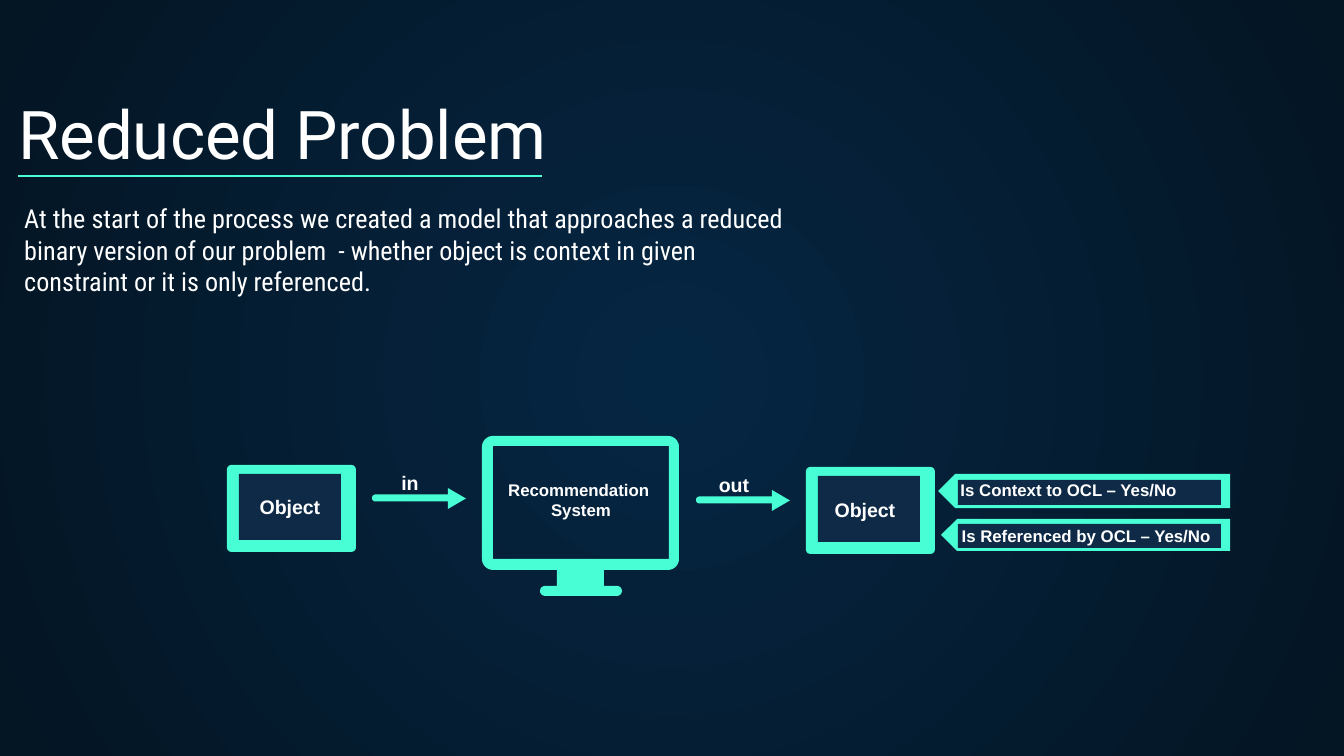
from math import cos, radians, sin

from lxml import etree
from pptx import Presentation
from pptx.dml.color import RGBColor
from pptx.enum.shapes import MSO_CONNECTOR, MSO_SHAPE
from pptx.enum.text import MSO_ANCHOR, PP_ALIGN
from pptx.oxml.ns import qn
from pptx.util import Emu, Pt

PX = 914400 / 134.4
WHITE = RGBColor(0xFF, 0xFF, 0xFF)
MINT = RGBColor(0x48, 0xFF, 0xD5)
NAVY = RGBColor(0x0E, 0x2A, 0x47)
BG_CENTER = RGBColor(0x05, 0x26, 0x43)
BG_EDGE = RGBColor(0x04, 0x15, 0x23)
RECT, ROUNDED, PLATE = MSO_SHAPE.RECTANGLE, MSO_SHAPE.ROUNDED_RECTANGLE, MSO_SHAPE.PENTAGON
LEFT, CENTER = PP_ALIGN.LEFT, PP_ALIGN.CENTER
TOP, BOTTOM = MSO_ANCHOR.TOP, MSO_ANCHOR.BOTTOM

# Content: boxes are (left, top, width, height) in px
TITLE = ("Reduced Problem", (5, 97, 578, 89))
BODY = ("At the start of the process we created a model that approaches a reduced "
        "binary version of our problem  - whether object is context in given "
        "constraint or it is only referenced.", (11, 196, 796, 140))
RULE = (18, 176, 542, 176)
OBJECTS = [  # frame corner, label corner
    ("Object", (227, 465), (227, 488)),
    ("Object", (806, 467), (802, 491)),
]
ARROWS = [  # arrow corner, label corner
    ("in", (372, 488), (347, 464)),
    ("out", (696, 490), (671, 466)),
]
SYSTEM = ("Recommendation \vSystem", (491, 473, 180, 54))
TAGS = [  # plate, inner pane, label
    ("Is Context to OCL – Yes/No", (938, 474, 292, 34), (958, 480, 263, 25), (926, 473, 285, 34)),
    ("Is Referenced by OCL – Yes/No", (941, 519, 289, 32), (958, 524, 263, 24), (938, 519, 296, 34)),
]


def px(n):
    return Emu(round(n * PX))


def add_text(text, box, size, font="Arial", bold=True, align=CENTER, anchor=TOP):
    tf = s.shapes.add_textbox(*map(px, box)).text_frame
    tf.word_wrap = True
    tf.vertical_anchor = anchor
    p = tf.paragraphs[0]
    p.text = text
    p.alignment = align
    for r in p.runs:
        r.font.size, r.font.name, r.font.bold = Pt(size), font, bold
        r.font.color.rgb = WHITE
    return tf


def paint(sp, color):
    sp.shadow.inherit = False
    sp.fill.solid()
    sp.fill.fore_color.rgb = color
    sp.line.fill.background()


def add_block(kind, box, color):
    sp = s.shapes.add_shape(kind, *map(px, box))
    paint(sp, color)
    return sp


def arc(cx, cy, radius, start, end):
    angles = [radians(start + (end - start) * i / 8) for i in range(9)]
    return [(cx + radius * cos(a), cy + radius * sin(a)) for a in angles]


def add_outline(*contours):
    scaled = [[(px(x), px(y)) for x, y in c] for c in contours]
    builder = s.shapes.build_freeform(*scaled[0][0])
    builder.add_line_segments(scaled[0][1:])
    for contour in scaled[1:]:
        builder.move_to(*contour[0])
        builder.add_line_segments(contour[1:])
    paint(builder.convert_to_shape(), MINT)


prs = Presentation()
prs.slide_width, prs.slide_height = px(1344), px(756)
s = prs.slides.add_slide(prs.slide_layouts[6])

# Radial background
fill = s.background.fill
fill.gradient()
for stop, color, position in zip(fill.gradient_stops, (BG_CENTER, BG_EDGE), (0, 1)):
    stop.color.rgb, stop.position = color, position
lin = next(s.background._cSld.iter(qn("a:lin")))
radial = etree.Element(qn("a:path"), {"path": "circle"})
etree.SubElement(radial, qn("a:fillToRect"), {side: "50000" for side in "ltrb"})
lin.getparent().replace(lin, radial)

# Heading and explanation
tf = add_text(*TITLE, 36, "Roboto", False, LEFT, BOTTOM)
tf.margin_top = tf.margin_bottom = px(13)
rule = s.shapes.add_connector(MSO_CONNECTOR.STRAIGHT, *map(px, RULE))
rule.line.color.rgb, rule.line.width = MINT, Pt(0.75)
etree.SubElement(rule._element.spPr, qn("a:effectLst"))
add_text(*BODY, 14, "Roboto Condensed", False, LEFT)

# Input and output objects
for text, (x, y), label in OBJECTS:
    frame = add_block(ROUNDED, (x, y, 129, 87), MINT)
    frame.adjustments[0] = 0.05
    add_block(RECT, (x + 12, y + 9, 102, 66), NAVY)
    add_text(text, (*label, 126, 38), 10.5)

# Flow arrows with a round tail
for text, (x, y), label in ARROWS:
    add_outline([(x + 76, y), (x + 94, y + 10.5), (x + 76, y + 21), (x + 76, y + 13.5),
                 *arc(x + 3.5, y + 10, 3.5, 90, 270), (x + 76, y + 6.5)])
    add_text(text, (*label, 126, 39), 10.5)

# Monitor with an open screen
add_outline(
    [*arc(493, 447, 11, 180, 270), *arc(668, 447, 11, 270, 360), *arc(668, 559, 11, 0, 90),
     (604, 570), (604, 586), *arc(617, 591, 5, 270, 450), *arc(545, 591, 5, 90, 270),
     (557, 586), (557, 570), *arc(493, 559, 11, 90, 180)],
    [(493, 446), (493, 559), (669, 559), (669, 446)])
add_text(*SYSTEM, 9)

# Answer tags pointing at the output
for text, plate, pane, label in TAGS:
    add_block(PLATE, plate, MINT).rotation = 180
    add_block(RECT, pane, NAVY)
    add_text(text, label, 9)

prs.save("out.pptx")
